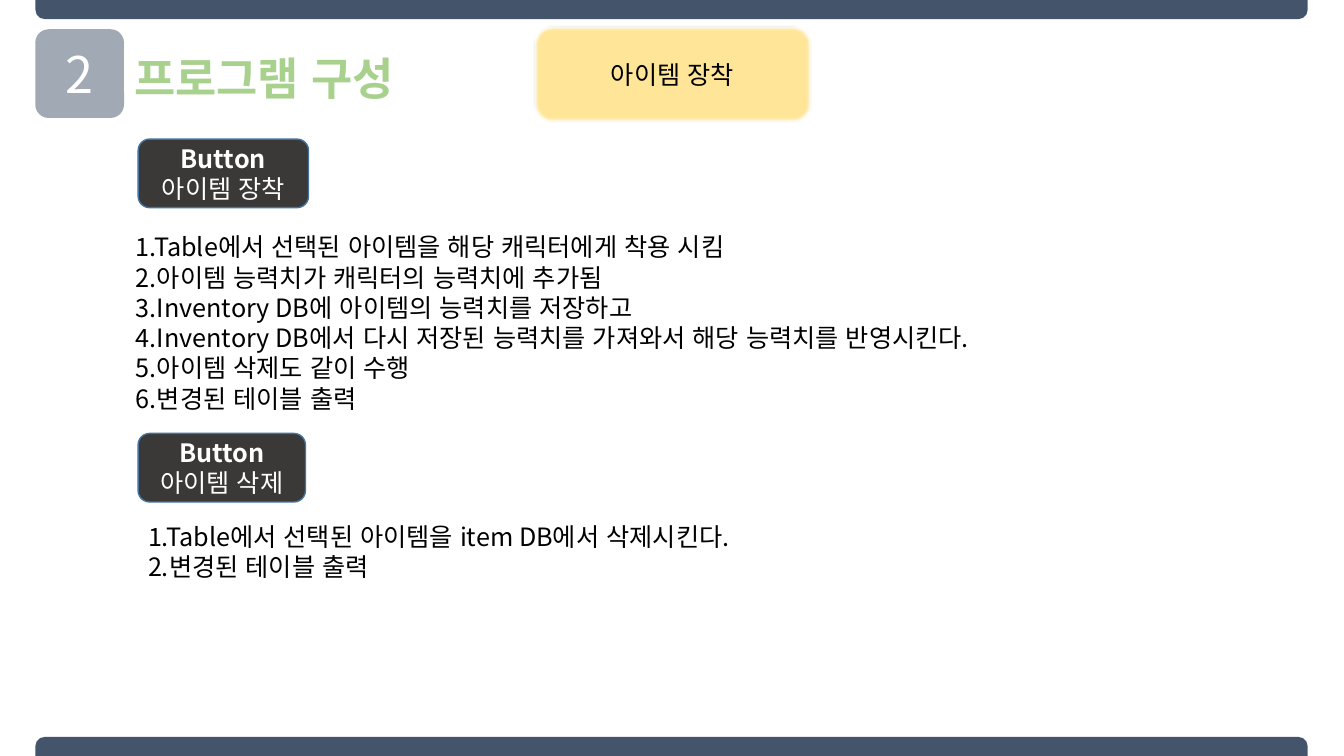
import pptx
import pptx.dml.color
import pptx.enum.lang
import pptx.enum.shapes
import pptx.enum.text
import pptx.oxml.ns
import pptx.util
from lxml import etree

Inches = pptx.util.Inches
Preset = pptx.enum.shapes.MSO_SHAPE
Anchor = pptx.enum.text.MSO_ANCHOR
Align = pptx.enum.text.PP_ALIGN
qn = pptx.oxml.ns.qn

KOREAN_FONT = "Noto Sans CJK KR"
NUMBER_FONT = "Noto Sans CJK SC"
NAVY, GREEN, YELLOW = "44546A", "A9D18E", "FFE699"
CHARCOAL, OUTLINE, WHITE, BLACK = "3B3838", "43739E", "FFFFFF", "000000"

EQUIP_STEPS = [
    "1.Table에서 선택된 아이템을 해당 캐릭터에게 착용 시킴",
    "2.아이템 능력치가 캐릭터의 능력치에 추가됨",
    "3.Inventory DB에 아이템의 능력치를 저장하고",
    "4.Inventory DB에서 다시 저장된 능력치를 가져와서 해당 능력치를 반영시킨다.",
    "5.아이템 삭제도 같이 수행",
    "6.변경된 테이블 출력",
]
DELETE_STEPS = [
    "1.Table에서 선택된 아이템을 item DB에서 삭제시킨다.",
    "2.변경된 테이블 출력",
]


def color(value):
    """Turn a hex string into a colour."""
    return pptx.dml.color.RGBColor.from_string(value)


def write(shape, lines, size, ink, align=Align.LEFT, bold_lines=0, font=KOREAN_FONT):
    """Write one paragraph per line, the first bold_lines of them bold."""
    frame = shape.text_frame
    for index, line in enumerate(lines):
        paragraph = frame.add_paragraph() if index else frame.paragraphs[0]
        paragraph.alignment = align
        run = paragraph.add_run()
        run.text = line
        run.font.size = pptx.util.Pt(size)
        run.font.bold = index < bold_lines
        run.font.name = font
        run.font.color.rgb = color(ink)
        run.font.language_id = pptx.enum.lang.MSO_LANGUAGE_ID.KOREAN
        latin = run.font._element.find(qn("a:latin"))
        east_asian = etree.Element(qn("a:ea"), typeface=font)
        latin.addnext(east_asian)


def place(shape, box):
    """Move a shape to a box of left, top, width and height."""
    shape.left, shape.top, shape.width, shape.height = map(Inches, box)


def fit_text(shape, anchor=Anchor.TOP):
    """Let a text shape take the size of its unwrapped text."""
    frame = shape.text_frame
    frame.word_wrap = False
    frame.auto_size = pptx.enum.text.MSO_AUTO_SIZE.SHAPE_TO_FIT_TEXT
    frame.vertical_anchor = anchor


def add_panel(slide, preset, box, fill, outline=None):
    """Add a filled shape with middle-anchored text and no shadow."""
    shape = slide.shapes.add_shape(preset, *map(Inches, box))
    shape.shadow.inherit = False
    shape.fill.solid()
    shape.fill.fore_color.rgb = color(fill)
    if outline:
        shape.line.color.rgb = color(outline)
        shape.line.width = pptx.util.Pt(1)
    else:
        shape.line.fill.background()
    shape.text_frame.vertical_anchor = Anchor.MIDDLE
    return shape


def add_edge_bar(slide, box, rotation=0):
    """Add a bar along a slide edge with two rounded corners."""
    bar = add_panel(slide, Preset.ROUND_2_SAME_RECTANGLE, box, NAVY)
    bar.adjustments[0], bar.adjustments[1] = 0.5, 0
    bar.rotation = rotation


def add_header(slide, box):
    """Add the section number, the slide title and the topic badge."""
    left, top, width, height = box
    number = add_panel(slide, Preset.ROUNDED_RECTANGLE,
                       (left, top + 0.03, 0.88, 0.88), NAVY)
    number.adjustments[0] = 0.15
    fill_color = number._element.spPr.find(qn("a:solidFill"))[0]
    etree.SubElement(fill_color, qn("a:alpha"), val="50000")
    write(number, ["2"], 36, WHITE, Align.CENTER, font=NUMBER_FONT)

    title = slide.shapes.title
    place(title, (left + 0.88, top + 0.19, 3.05, 0.64))
    fit_text(title)
    write(title, ["프로그램 구성"], 32, GREEN, bold_lines=1)

    badge_width = 2.74
    badge = add_panel(slide, Preset.ROUNDED_RECTANGLE,
                      (left + width - badge_width, top, badge_width, height),
                      YELLOW, OUTLINE)
    effects = badge._element.spPr.find(qn("a:effectLst"))
    etree.SubElement(effects, qn("a:softEdge"), rad="31750")
    write(badge, ["아이템 장착"], 18, BLACK, Align.CENTER)


def add_button(slide, box, label):
    """Add a dark button card with its label."""
    button = add_panel(slide, Preset.ROUNDED_RECTANGLE, box, CHARCOAL, OUTLINE)
    write(button, ["Button", label], 18, WHITE, Align.CENTER, bold_lines=1)


def add_steps(slide, box, steps):
    """Add the list of steps that a button performs."""
    text_box = slide.shapes.add_textbox(*map(Inches, box))
    fit_text(text_box)
    write(text_box, steps, 18, BLACK)


def build_slide(presentation):
    """Build the program structure slide."""
    slide = presentation.slides.add_slide(presentation.slide_layouts[5])
    add_edge_bar(slide, (0.35, 0, 12.62, 0.19), 180)
    add_edge_bar(slide, (0.35, 7.31, 12.62, 0.19))
    add_header(slide, (0.35, 0.26, 7.69, 0.95))
    add_button(slide, (1.37, 1.38, 1.69, 0.68), "아이템 장착")
    add_steps(slide, (1.25, 2.25, 9.14, 1.92), EQUIP_STEPS)
    add_button(slide, (1.37, 4.3, 1.66, 0.68), "아이템 삭제")
    add_steps(slide, (1.37, 5.12, 6.36, 1.01), DELETE_STEPS)


presentation = pptx.Presentation()
presentation.slide_width = Inches(13.33)
presentation.slide_height = Inches(7.5)
build_slide(presentation)
presentation.save("out.pptx")
